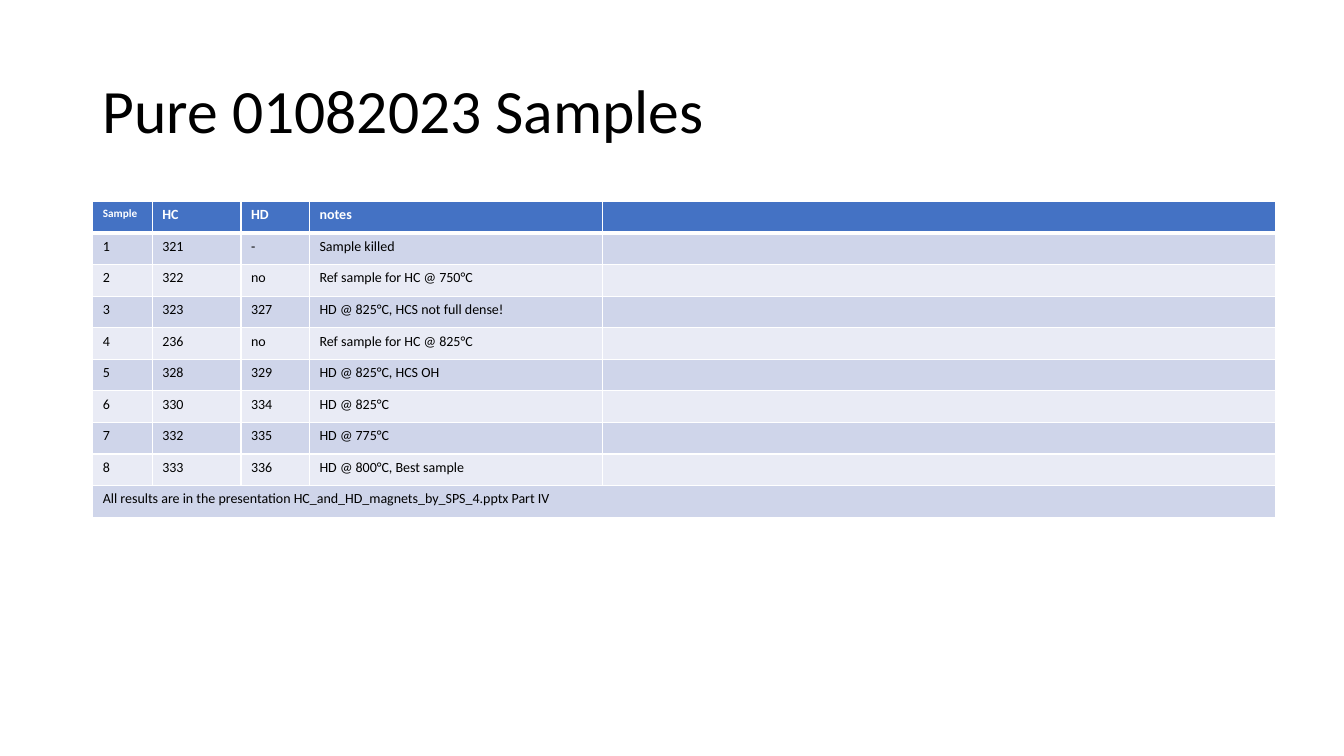
from lxml.etree import SubElement
from pptx import Presentation
from pptx.dml.color import RGBColor
from pptx.enum.text import MSO_ANCHOR
from pptx.oxml.ns import qn
from pptx.util import Inches, Pt


def color(text):
    return RGBColor.from_string(text)


def border(cell, side, width):
    line = SubElement(cell._tc.get_or_add_tcPr(), qn("a:" + side), w=str(Pt(width)))
    fill = SubElement(line, qn("a:solidFill"))
    SubElement(fill, qn("a:srgbClr"), val="FFFFFF")


deck = Presentation()
deck.slide_width = Inches(13.33)
deck.slide_height = Inches(7.5)
slide = deck.slides.add_slide(deck.slide_layouts[6])

title = slide.shapes.add_textbox(Inches(0.92), Inches(0.4), Inches(11.5), Inches(1.45))
frame = title.text_frame
frame.word_wrap = True
frame.vertical_anchor = MSO_ANCHOR.MIDDLE
para = frame.paragraphs[0]
para.text = "Pure 01082023 Samples"
para.line_spacing = 0.9
para.font.name = "Calibri"
para.font.size = Pt(44)
para.font.color.rgb = color("000000")

rows = [
    ("Sample", "HC", "HD", "notes", ""),
    ("1", "321", "-", "Sample killed", ""),
    ("2", "322", "no", "Ref sample for HC @ 750°C", ""),
    ("3", "323", "327", "HD @ 825°C, HCS not full dense!", ""),
    ("4", "236", "no", "Ref sample for HC @ 825°C", ""),
    ("5", "328", "329", "HD @ 825°C, HCS OH", ""),
    ("6", "330", "334", "HD @ 825°C", ""),
    ("7", "332", "335", "HD @ 775°C", ""),
    ("8", "333", "336", "HD @ 800°C, Best sample", ""),
    ("All results are in the presentation HC_and_HD_magnets_by_SPS_4.pptx Part IV", "", "", "", ""),
]
widths = [0.59, 0.88, 0.68, 2.91, 6.67]
table = slide.shapes.add_table(
    len(rows), len(widths), Inches(0.92), Inches(2), Inches(sum(widths)), Inches(3.13)
).table
for col, width in zip(table.columns, widths):
    col.width = Inches(width)

for r, row in enumerate(rows):
    head = r == 0
    shade = "4472C4" if head else ("E9EBF5", "CFD5EA")[r % 2]
    for c, text in enumerate(row):
        cell = table.cell(r, c)
        border(cell, "lnL", 1)
        border(cell, "lnR", 1)
        border(cell, "lnT", 3 if r == 1 else 1)
        border(cell, "lnB", 3 if head else 1)
        cell.fill.solid()
        cell.fill.fore_color.rgb = color(shade)
        para = cell.text_frame.paragraphs[0]
        size = 8 if text == "Sample" else 10
        if text:
            para.text = text
        else:
            SubElement(para._p, qn("a:endParaRPr"), sz=str(size * 100))
        para.font.name = "Calibri"
        para.font.size = Pt(size)
        para.font.bold = head
        para.font.color.rgb = color("FFFFFF" if head else "000000")

last = len(rows) - 1
table.cell(last, 0).merge(table.cell(last, len(widths) - 1))

deck.save("out.pptx")
